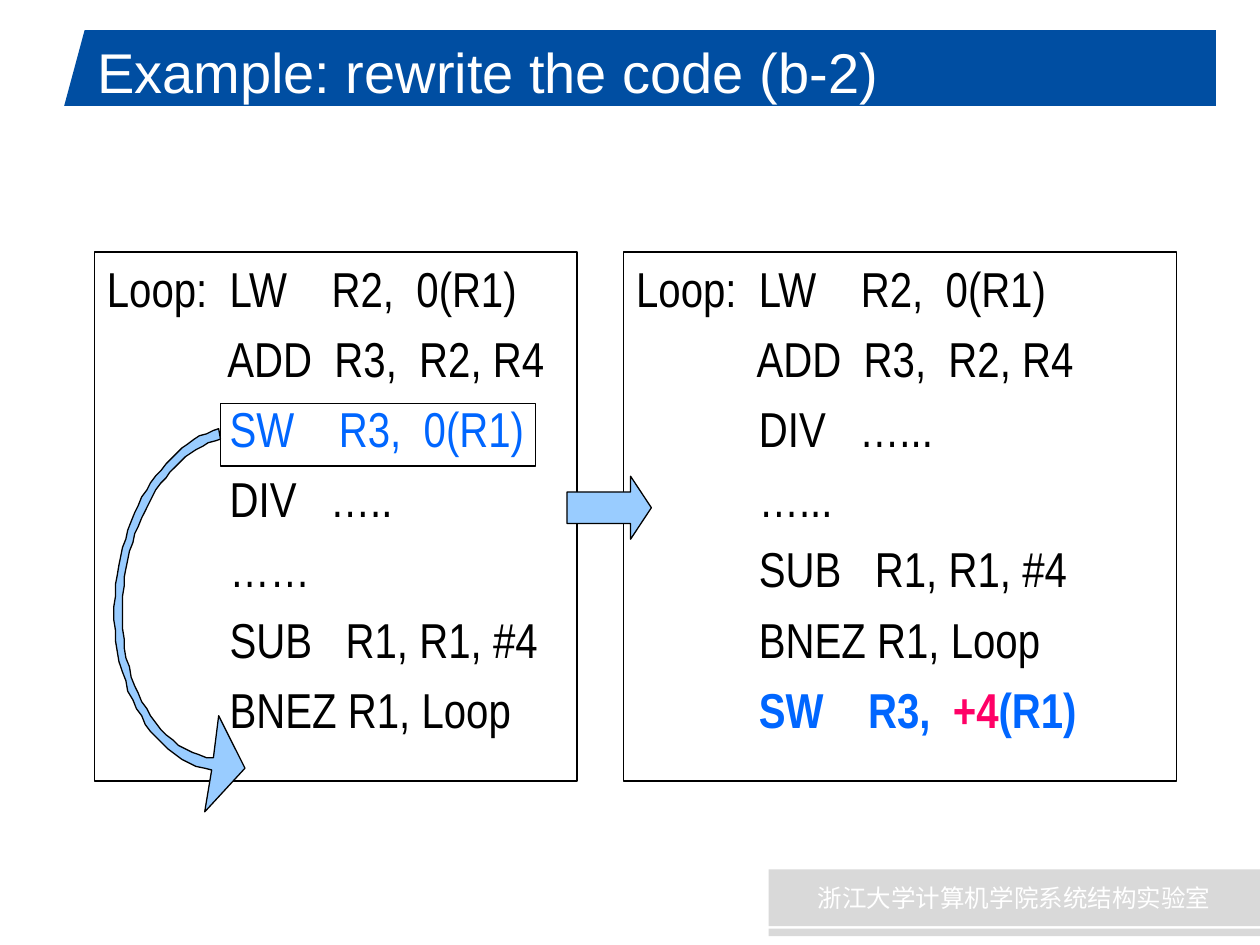
from pptx import Presentation
from pptx.dml.color import RGBColor
from pptx.enum.shapes import MSO_SHAPE
from pptx.enum.text import MSO_ANCHOR, PP_ALIGN
from pptx.util import Pt

COLORS = {"navy": "004EA2", "gray": "D9D9D9", "white": "FFFFFF", "black": "000000",
          "blue": "0066FF", "pink": "FF0066", "sky": "99CCFF"}
TITLE = "Example: rewrite the code (b-2)"
FOOTER = "浙江大学计算机学院系统结构实验室"
INDENT = "           "
START = [("Loop:  LW    R2,  0(R1)", "black", False)]
ADD = [(INDENT + "ADD  R3,  R2, R4", "black", False)]
LOOP_END = [[(INDENT + "SUB   R1, R1, #4", "black", False)],
            [(INDENT + "BNEZ R1, Loop", "black", False)]]
BEFORE = [START, ADD,
          [(INDENT, "black", False), ("SW    R3,  0(R1)", "blue", False)],
          [(INDENT + "DIV   …..", "black", False)],
          [(INDENT + "……", "black", False)],
          *LOOP_END]
AFTER = [START, ADD,
         [(INDENT + "DIV   …...", "black", False)],
         [(INDENT + "…...", "black", False)],
         *LOOP_END,
         [(INDENT, "black", False), ("SW    R3,  ", "blue", True),
          ("+4", "pink", True), ("(R1)", "blue", True)]]
BARS = [(MSO_SHAPE.TRAPEZOID, (36.72, 17.28, 292.32, 43.2), "navy"),
        (MSO_SHAPE.RECTANGLE, (275.04, 17.28, 419.76, 43.2), "navy"),
        (MSO_SHAPE.RECTANGLE, (349.2, 56.88, 345.6, 3.6), "navy"),
        (MSO_SHAPE.RECTANGLE, (439.2, 496.8, 280.8, 32.4), "gray"),
        (MSO_SHAPE.RECTANGLE, (439.2, 530.64, 280.8, 4.32), "gray")]
PANELS = [((54, 144, 275.76, 302.4), BEFORE), ((356.4, 144, 316.08, 302.4), AFTER)]
SWEEP_START = (121.7, 433.4)
SWEEP = [[(87.8, 428.4), (64.8, 384.5), (70.6, 334.8)],
         [(74.9, 293), (97.9, 258.5), (126, 250.6)],
         [(125.3, 244.8)],
         [(95, 253.4), (71.3, 290.2), (66.2, 334.1)],
         [(60.5, 387.4), (85, 434.2), (121, 439.9)],
         [(117.4, 464.4)], [(139.7, 439.2)], [(124.6, 409)]]
CURVE_STEPS = 24


def color(name):
    return RGBColor.from_string(COLORS[name])


def style(shape, fill=None, line=None):
    shape.shadow.inherit = False
    if fill:
        shape.fill.solid()
        shape.fill.fore_color.rgb = color(fill)
    else:
        shape.fill.background()
    if line:
        shape.line.color.rgb = color(line)
        shape.line.width = Pt(0.75)
    else:
        shape.line.fill.background()


def add_shape(page, kind, frame, fill=None, line=None):
    shape = page.shapes.add_shape(kind, *map(Pt, frame))
    style(shape, fill, line)
    return shape


def add_span(para, text, size, font, name, bold=False):
    span = para.add_run()
    span.text = text
    span.font.size = Pt(size)
    span.font.name = font
    span.font.bold = bold
    span.font.color.rgb = color(name)


def add_panel(page, frame, lines):
    box = add_shape(page, MSO_SHAPE.RECTANGLE, frame, line="black").text_frame
    box.word_wrap = True
    box.vertical_anchor = MSO_ANCHOR.TOP
    for index, spans in enumerate(lines):
        para = box.add_paragraph() if index else box.paragraphs[0]
        para.alignment = PP_ALIGN.LEFT
        para.space_before = Pt(6.5 if index else 0)
        for text, name, bold in spans:
            add_span(para, text, 28, "Arial Narrow", name, bold)


def curve_points(start, first, second, end):
    for step in range(1, CURVE_STEPS + 1):
        t = step / CURVE_STEPS
        weights = ((1 - t) ** 3, 3 * t * (1 - t) ** 2, 3 * t ** 2 * (1 - t), t ** 3)
        yield tuple(sum(weight * value for weight, value in zip(weights, axis))
                    for axis in zip(start, first, second, end))


def add_sweep(page):
    points = [SWEEP_START]
    for segment in SWEEP:
        points += curve_points(points[-1], *segment) if len(segment) == 3 else segment
    builder = page.shapes.build_freeform(*points[0], scale=Pt(1))
    builder.add_line_segments(points[1:], close=True)
    style(builder.convert_to_shape(), "sky", "black")


def main():
    """Build the slide that moves a store behind the loop branch."""
    deck = Presentation()
    deck.slide_width, deck.slide_height = Pt(720), Pt(540)
    page = deck.slides.add_slide(deck.slide_layouts[5])

    bars = [add_shape(page, *bar) for bar in BARS]
    bars[0].adjustments[0] = 0.27
    footer = bars[3].text_frame
    footer.vertical_anchor = MSO_ANCHOR.MIDDLE
    footer.paragraphs[0].alignment = PP_ALIGN.CENTER
    add_span(footer.paragraphs[0], FOOTER, 14, "Noto Sans CJK SC", "white")

    title = page.shapes.title
    title.element.getparent().append(title.element)
    title.left, title.top, title.width, title.height = map(Pt, (48.24, 18, 598.32, 72))
    title.text_frame.vertical_anchor = MSO_ANCHOR.TOP
    title.text_frame.paragraphs[0].alignment = PP_ALIGN.LEFT
    add_span(title.text_frame.paragraphs[0], TITLE, 32, "Arial", "white")

    for frame, lines in PANELS:
        add_panel(page, frame, lines)
    arrow = add_shape(page, MSO_SHAPE.RIGHT_ARROW, (324, 272.16, 48.24, 36), "sky", "black")
    arrow.adjustments[1] = 0.33
    add_shape(page, MSO_SHAPE.RECTANGLE, (126, 230.4, 180, 36), line="black")
    add_sweep(page)
    deck.save("out.pptx")


if __name__ == "__main__":
    main()
